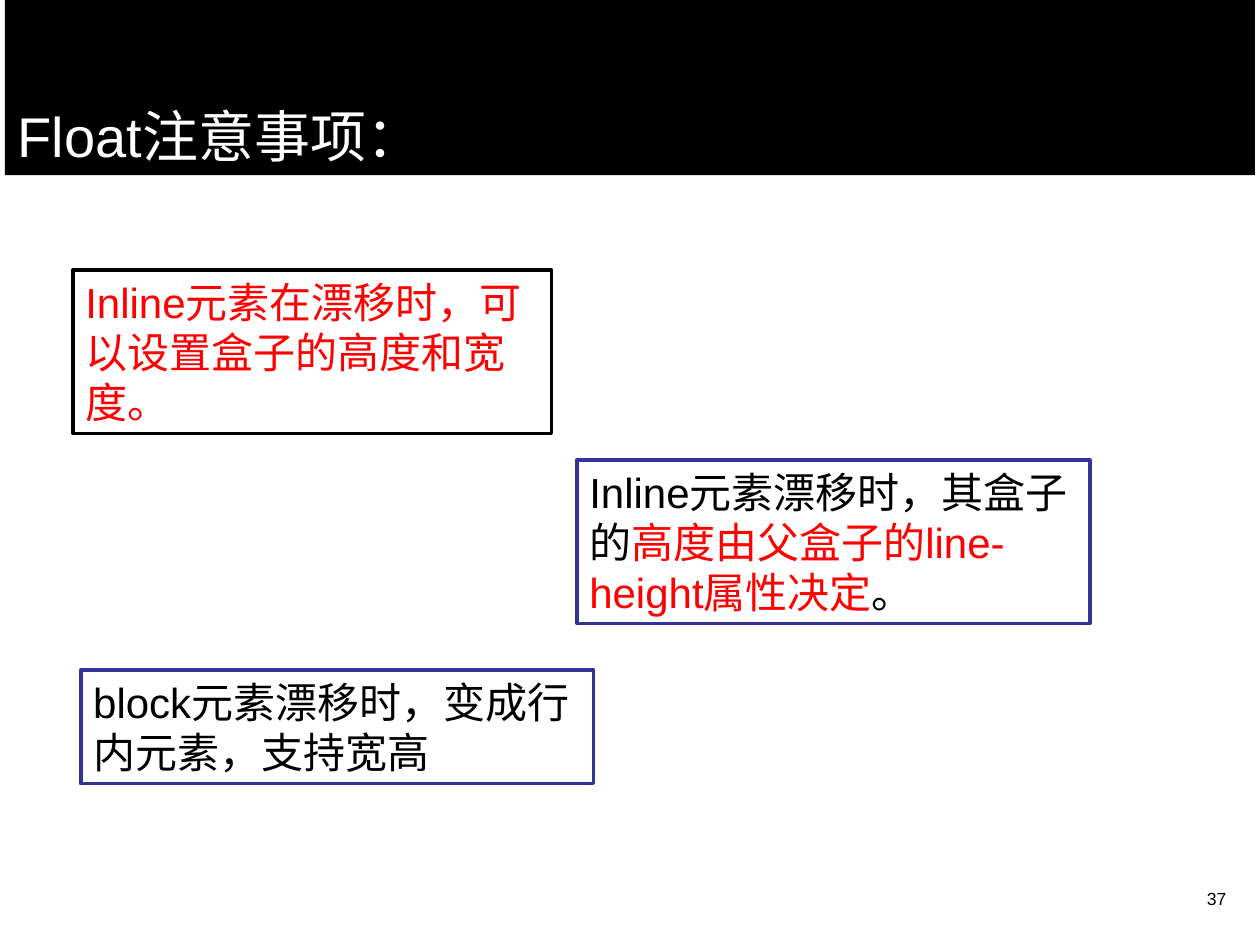
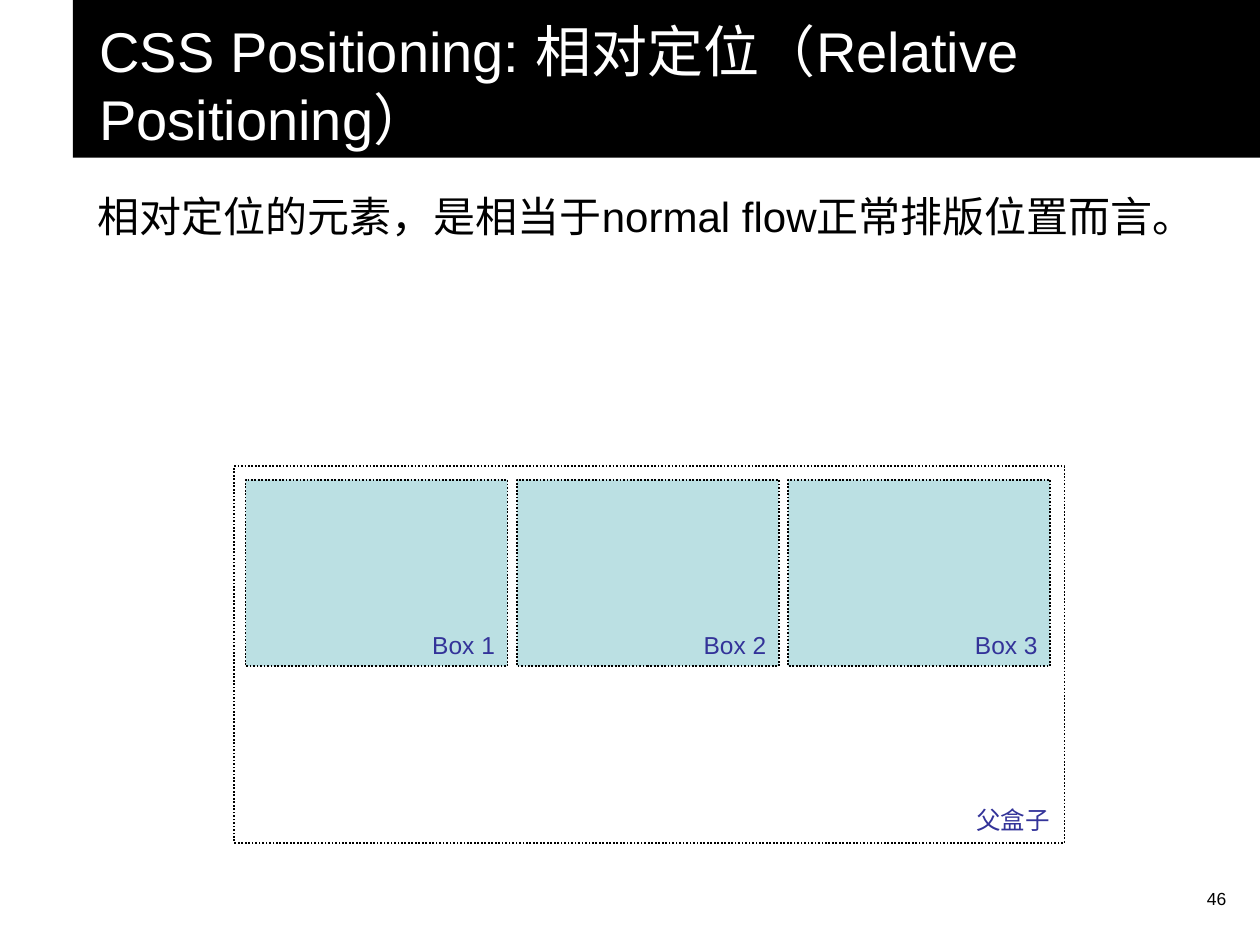
from dataclasses import dataclass

from lxml import etree
from pptx import Presentation
from pptx import util as u
from pptx.dml.color import RGBColor
from pptx.enum import dml, shapes, text
from pptx.oxml.ns import qn


@dataclass(frozen=True)
class Theme:
    font: str = "Arial"
    black: str = "000000"
    white: str = "FFFFFF"
    red: str = "FF0000"
    navy: str = "333399"
    aqua: str = "BBE0E3"
    title_size: int = 32
    body_size: int = 24
    label_size: int = 14
    number_size: int = 10


THEME = Theme()
TITLE_ONLY, TITLE_AND_BODY = 5, 1
FIT = text.MSO_AUTO_SIZE.SHAPE_TO_FIT_TEXT
FIXED = text.MSO_AUTO_SIZE.NONE


# Shared helpers
def apply(target, values):
    for name, value in values.items():
        setattr(target, name, value)


def place(shape, area):
    names = ("left", "top", "width", "height")
    apply(shape, {name: u.Cm(value) for name, value in zip(names, area)})


def paint(shape, fill=None, line=None, weight=1, dash=None):
    if fill:
        shape.fill.solid()
        shape.fill.fore_color.rgb = RGBColor.from_string(fill)
    else:
        shape.fill.background()
    if line:
        shape.line.color.rgb = RGBColor.from_string(line)
        apply(shape.line, {"width": u.Pt(weight), "dash_style": dash})


def write(shape, spans, size, align=text.PP_ALIGN.LEFT,
          anchor=text.MSO_ANCHOR.TOP, fit=FIXED, indent=0, **spacing):
    """Fill a shape with one paragraph of (wording, colour) spans."""
    frame = shape.text_frame
    apply(frame, {"word_wrap": True, "auto_size": fit,
                  "vertical_anchor": anchor})
    para = frame.paragraphs[0]
    apply(para, {"alignment": align, "space_before": u.Pt(0), **spacing})
    properties = para._p.get_or_add_pPr()
    properties.set("marL", str(u.Cm(indent)))
    properties.set("indent", "0")
    etree.SubElement(properties, qn("a:buNone"))
    for wording, color in spans:
        span = para.add_run()
        span.text = wording
        apply(span.font, {"name": THEME.font, "size": u.Pt(size)})
        span.font.color.rgb = RGBColor.from_string(color)


# Kinds of element
def add_page(deck, layout, title, area, number, indent=0):
    page = deck.slides.add_slide(deck.slide_layouts[layout])
    band = page.shapes.title
    place(band, area)
    paint(band, THEME.black)
    write(band, [(title, THEME.white)], THEME.title_size,
          anchor=text.MSO_ANCHOR.BOTTOM, indent=indent)
    add_label(page, number, (19.69, 17.78, 5.28, 1.27),
              THEME.number_size, THEME.black, FIXED)
    return page


def add_label(page, wording, area, size=THEME.label_size, color=THEME.navy,
              fit=FIT):
    label = page.shapes.add_textbox(0, 0, 0, 0)
    place(label, area)
    write(label, [(wording, color)], size, text.PP_ALIGN.RIGHT, fit=fit)


def add_box(page, area, **look):
    box = page.shapes.add_shape(shapes.MSO_SHAPE.RECTANGLE, 0, 0, 0, 0)
    box.shadow.inherit = False
    place(box, area)
    paint(box, **look)
    return box


def add_note(page, area, spans, line=THEME.navy):
    note = add_box(page, area, fill=THEME.white, line=line, weight=2)
    write(note, spans, THEME.body_size, fit=FIT)


# Slides
def build_float_page(deck):
    page = add_page(deck, TITLE_ONLY, "Float注意事项：",
                    (0.1, 0, 25.2, 3.53), "37")
    add_note(page, (11.63, 9.27, 10.34, 3.3),
             [("Inline元素漂移时，其盒子的", THEME.black),
              ("高度由父盒子的line-height属性决定", THEME.red),
              ("。", THEME.black)])
    add_note(page, (1.47, 5.44, 9.65, 3.3),
             [("Inline元素在漂移时，可以设置盒子的高度和宽度。", THEME.red)],
             line=THEME.black)
    add_note(page, (1.63, 13.51, 10.34, 2.29),
             [("block元素漂移时，变成行内元素，支持宽高", THEME.black)])


def build_relative_page(deck):
    page = add_page(deck, TITLE_AND_BODY,
                    "CSS Positioning: 相对定位（Relative Positioning）",
                    (1.47, 0, 23.93, 3.18), "46", indent=0.28)
    body = page.placeholders[1]
    place(body, (1.47, 3.61, 23.06, 1.37))
    write(body, [("相对定位的元素，是相当于normal flow正常排版位置而言。",
                  THEME.black)],
          THEME.body_size, indent=0.25, line_spacing=1.1,
          space_after=u.Pt(6))

    # Parent box with three child boxes in a row
    dotted = {"line": THEME.black, "dash": dml.MSO_LINE.ROUND_DOT}
    add_box(page, (4.72, 9.4, 16.74, 7.59), **dotted)
    for index in range(3):
        left = 4.95 + index * 5.47
        add_box(page, (left, 9.67, 5.28, 3.76), fill=THEME.aqua, **dotted)
        add_label(page, f"Box {index + 1}", (left + 0.07, 12.57, 5.21, 0.86))
    add_label(page, "父盒子", (16.21, 16.1, 5.21, 0.86))


def main():
    deck = Presentation()
    apply(deck, {"slide_width": u.Cm(25.4), "slide_height": u.Cm(19.05)})
    build_float_page(deck)
    build_relative_page(deck)
    deck.save("out.pptx")


if __name__ == "__main__":
    main()
